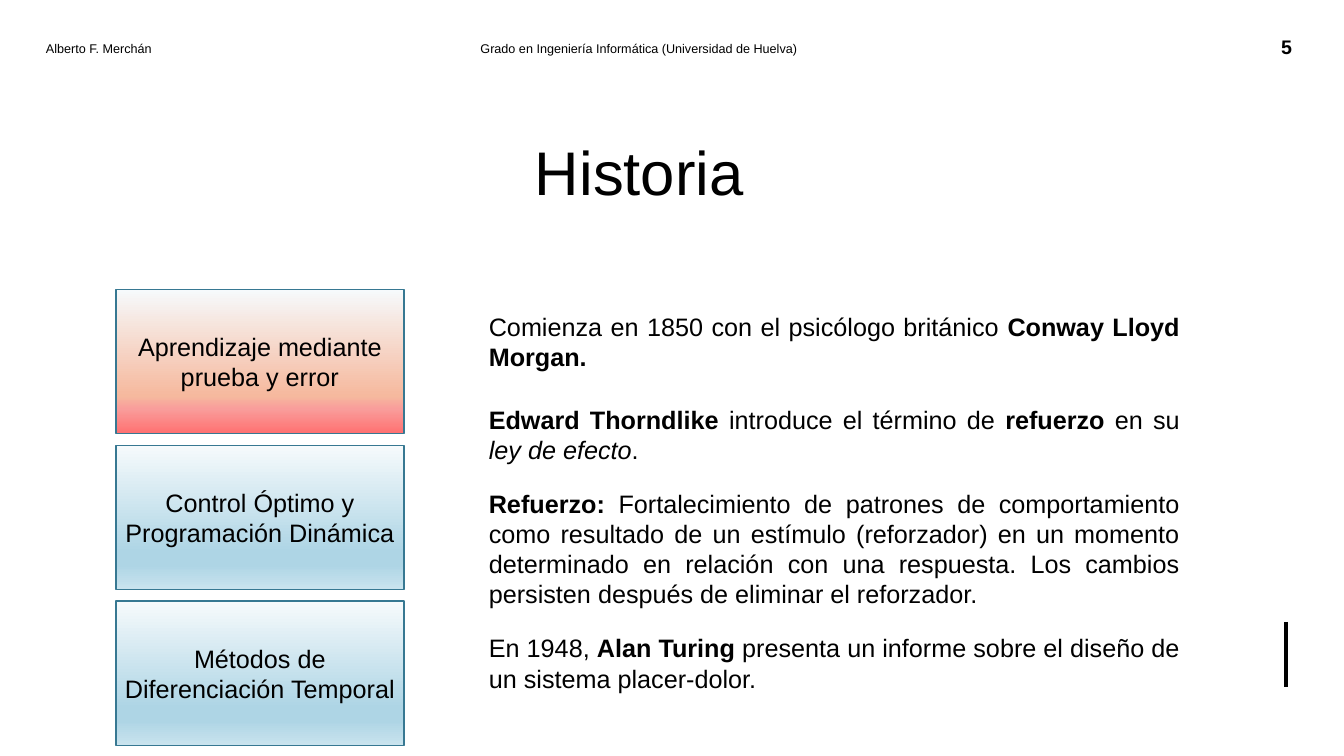
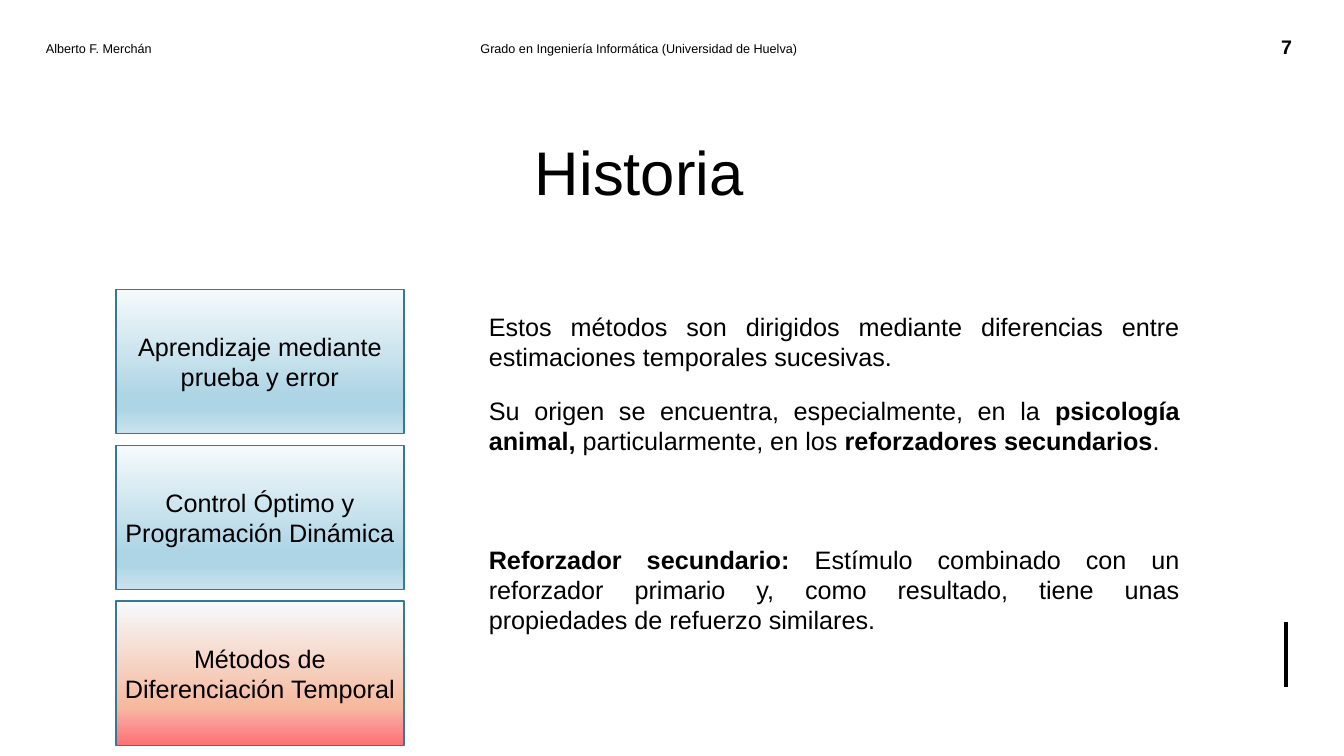
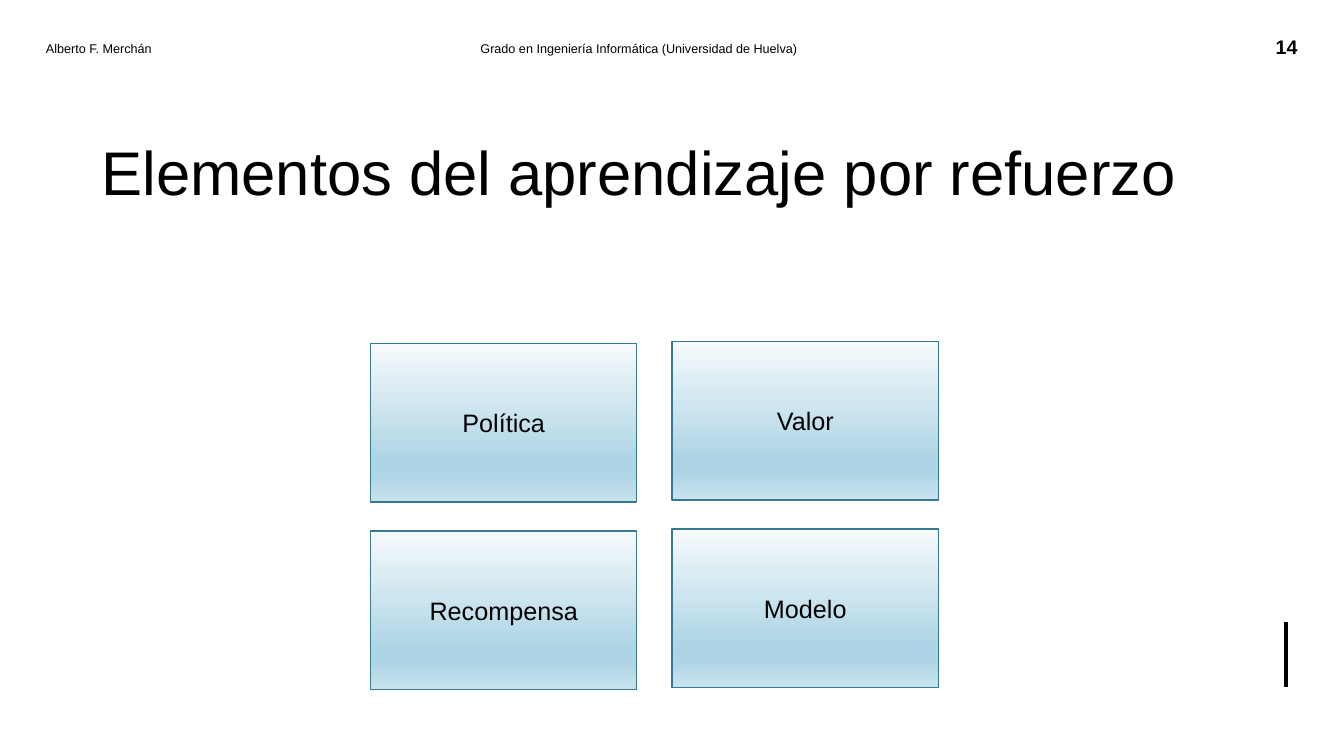
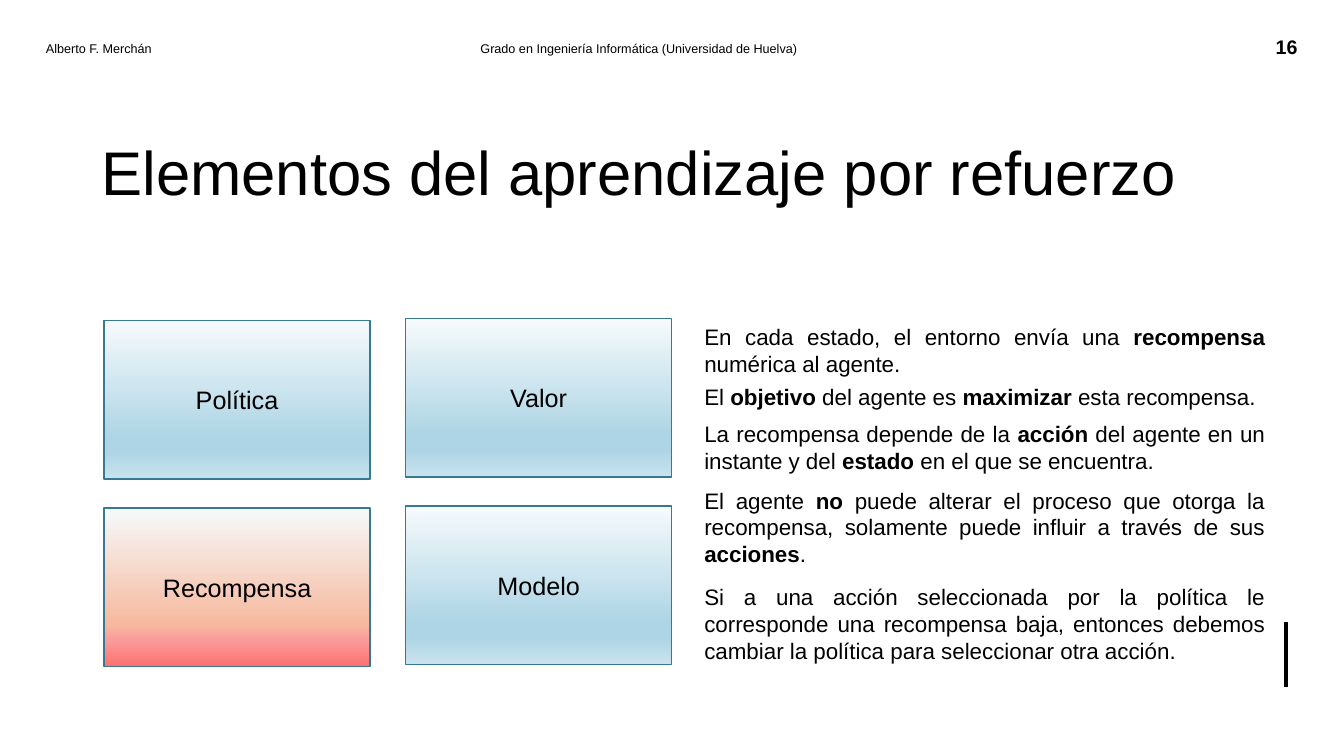
from dataclasses import dataclass

from lxml import etree
from pptx import Presentation
from pptx.dml.color import RGBColor
from pptx.enum import shapes, text
from pptx.oxml.ns import qn
from pptx.util import Cm, Pt


@dataclass(frozen=True)
class Theme:
    font: str = "Arial"
    ink: str = "000000"
    paper: str = "FFFFFF"
    edge: str = "377892"
    calm: tuple = ((0, "F6FAFC"), (74, "AED5E5"), (83, "AED5E5"), (100, "C9E3EE"))
    active: tuple = ((0, "F6FAFC"), (74, "F6B99E"), (83, "F99D9B"), (100, "FF7171"))
    title: int = 44
    body: int = 18
    small: int = 16
    number: int = 14
    header: int = 9


THEME = Theme()
BOLD, ITALIC = "bold", "italic"

# Content: a run is a plain string or a (text, style) pair
AUTHOR = "Alberto F. Merchán"
DEGREE = "Grado en Ingeniería Informática (Universidad de Huelva)"
HISTORY = "Historia"
ELEMENTS = "Elementos del aprendizaje por refuerzo"
BRANCHES = ["Aprendizaje mediante prueba y error",
            "Control Óptimo y Programación Dinámica",
            "Métodos de Diferenciación Temporal"]
PARTS = [["Política", "Recompensa"], ["Valor", "Modelo"]]

# Each passage: top in cm, number of lines, runs
TRIAL_AND_ERROR = [
    (7.72, 2, ["Comienza en 1850 con el psicólogo británico ",
               ("Conway Lloyd Morgan.", BOLD)]),
    (10.06, 2, [("Edward Thorndlike ", BOLD), "introduce el término de ",
                ("refuerzo", BOLD), " en su ", ("ley de efecto", ITALIC), "."]),
    (12.17, 4, [("Refuerzo:", BOLD),
                " Fortalecimiento de patrones de comportamiento como resultado de un "
                "estímulo (reforzador) en un momento determinado en relación con una "
                "respuesta. Los cambios persisten después de eliminar el reforzador."]),
    (15.82, 2, ["En 1948, ", ("Alan Turing ", BOLD),
                "presenta un informe sobre el diseño de un sistema placer-dolor."]),
]
TEMPORAL_DIFFERENCE = [
    (7.72, 2, ["Estos métodos son dirigidos mediante diferencias entre "
               "estimaciones temporales sucesivas."]),
    (9.83, 2, ["Su origen se encuentra, especialmente, en la ",
               ("psicología animal, ", BOLD), "particularmente, en los ",
               ("reforzadores secundarios", BOLD), "."]),
    (13.59, 3, [("Reforzador secundario: ", BOLD),
                "Estímulo combinado con un reforzador primario y, como resultado, "
                "tiene unas propiedades de refuerzo similares."]),
]
REWARD = [
    (8.03, 2, ["En cada estado, el entorno envía una ", ("recompensa ", BOLD),
               "numérica al agente."]),
    (9.53, 1, ["El ", ("objetivo ", BOLD), "del agente es ", ("maximizar", BOLD),
               " esta recompensa."]),
    (10.46, 2, ["La recompensa depende de la ", ("acción", BOLD),
                " del agente en un instante y del ", ("estado", BOLD),
                " en el que se encuentra."]),
    (12.14, 3, ["El agente ", ("no", BOLD),
                " puede alterar el proceso que otorga la recompensa, solamente puede "
                "influir a través de sus ", ("acciones", BOLD), "."]),
    (14.58, 3, ["Si a una acción seleccionada por la política le corresponde una "
                "recompensa baja, entonces debemos cambiar la política para "
                "seleccionar otra acción."]),
]


# Building blocks
def color(value):
    return RGBColor.from_string(value)


def write(frame, runs, size, align, bold=False):
    frame.word_wrap = True
    paragraph = frame.paragraphs[0]
    paragraph.alignment = align
    for item in runs:
        words, style = (item, None) if isinstance(item, str) else item
        run = paragraph.add_run()
        run.text = words
        font = run.font
        font.name, font.size = THEME.font, Pt(size)
        font.color.rgb = color(THEME.ink)
        font.bold = bold or style == BOLD
        font.italic = style == ITALIC
    return paragraph


def add_text(slide, box, runs, size, align=text.PP_ALIGN.LEFT,
             anchor=text.MSO_ANCHOR.MIDDLE, bold=False):
    frame = slide.shapes.add_textbox(*map(Cm, box)).text_frame
    frame.vertical_anchor = anchor
    write(frame, runs, size, align, bold)
    return frame


def add_tile(slide, box, label, highlighted):
    tile = slide.shapes.add_shape(shapes.MSO_SHAPE.RECTANGLE, *map(Cm, box))
    tile.shadow.inherit = False
    tile.line.color.rgb, tile.line.width = color(THEME.edge), Pt(1)
    tile.fill.gradient()
    tile.fill.gradient_angle = 270
    stops = tile.fill._xPr.find(qn("a:gradFill")).find(qn("a:gsLst"))
    for stop in list(stops):
        stops.remove(stop)
    for percent, value in THEME.active if highlighted else THEME.calm:
        stop = etree.SubElement(stops, qn("a:gs"), pos=str(percent * 1000))
        etree.SubElement(stop, qn("a:srgbClr"), val=value)
    frame = tile.text_frame
    frame.margin_left = frame.margin_right = Cm(0.2)
    frame.vertical_anchor = text.MSO_ANCHOR.MIDDLE
    write(frame, [label], THEME.body, text.PP_ALIGN.CENTER)


def add_passages(slide, left, width, passages, size):
    for top, lines, runs in passages:
        height = round(0.25 + lines * size * 0.0425, 2)
        frame = add_text(slide, (left, top, width, height), runs, size,
                         text.PP_ALIGN.JUSTIFY, text.MSO_ANCHOR.TOP)
        frame.auto_size = text.MSO_AUTO_SIZE.SHAPE_TO_FIT_TEXT


def add_branches(slide, active):
    for row, label in enumerate(BRANCHES):
        add_tile(slide, (2.92, 7.29 + row * 3.93, 7.26, 3.63), label, label == active)


def add_parts(slide, left, top, active=None):
    for column, labels in enumerate(PARTS):
        for row, label in enumerate(labels):
            # The right column sits slightly higher
            box = (left + column * 7.6, top + row * 4.72 - column * 0.05, 6.71, 3.99)
            add_tile(slide, box, label, label == active)


def new_slide(deck, title, number):
    slide = deck.slides.add_slide(deck.slide_layouts[6])
    slide.background.fill.solid()
    slide.background.fill.fore_color.rgb = color(THEME.paper)

    # Side mark
    mark = slide.shapes.add_connector(shapes.MSO_CONNECTOR.STRAIGHT, Cm(32.41),
                                      Cm(15.67), Cm(32.41), Cm(17.32))
    mark.line.color.rgb, mark.line.width = color(THEME.ink), Pt(3)
    etree.SubElement(mark._element.spPr, qn("a:effectLst"))

    # Title, slide number and header
    add_text(slide, (1.7, 2.31, 28.83, 3.99), [title], THEME.title, text.PP_ALIGN.CENTER)
    add_text(slide, (31.37, 0.66, 2.11, 1.02), [str(number)], THEME.number,
             text.PP_ALIGN.CENTER, bold=True)
    header = add_text(slide, (0.91, 0.71, 30.43, 1.02), [f"{AUTHOR}\t{DEGREE}"],
                      THEME.header)
    tabs = etree.SubElement(header.paragraphs[0]._p.get_or_add_pPr(), qn("a:tabLst"))
    etree.SubElement(tabs, qn("a:tab"), pos=str(int(Cm(10.95))), algn="l")
    return slide


def main():
    deck = Presentation()
    deck.slide_width, deck.slide_height = Cm(33.87), Cm(19.05)

    # History
    for number, active, passages in ((5, BRANCHES[0], TRIAL_AND_ERROR),
                                     (7, BRANCHES[2], TEMPORAL_DIFFERENCE)):
        slide = new_slide(deck, HISTORY, number)
        add_branches(slide, active)
        add_passages(slide, 12.07, 17.91, passages, THEME.body)

    # Elements of reinforcement learning
    add_parts(new_slide(deck, ELEMENTS, 14), 9.34, 8.66)
    slide = new_slide(deck, ELEMENTS, 16)
    add_parts(slide, 2.62, 8.08, "Recompensa")
    add_passages(slide, 17.5, 14.63, REWARD, THEME.small)

    deck.save("out.pptx")


if __name__ == "__main__":
    main()
